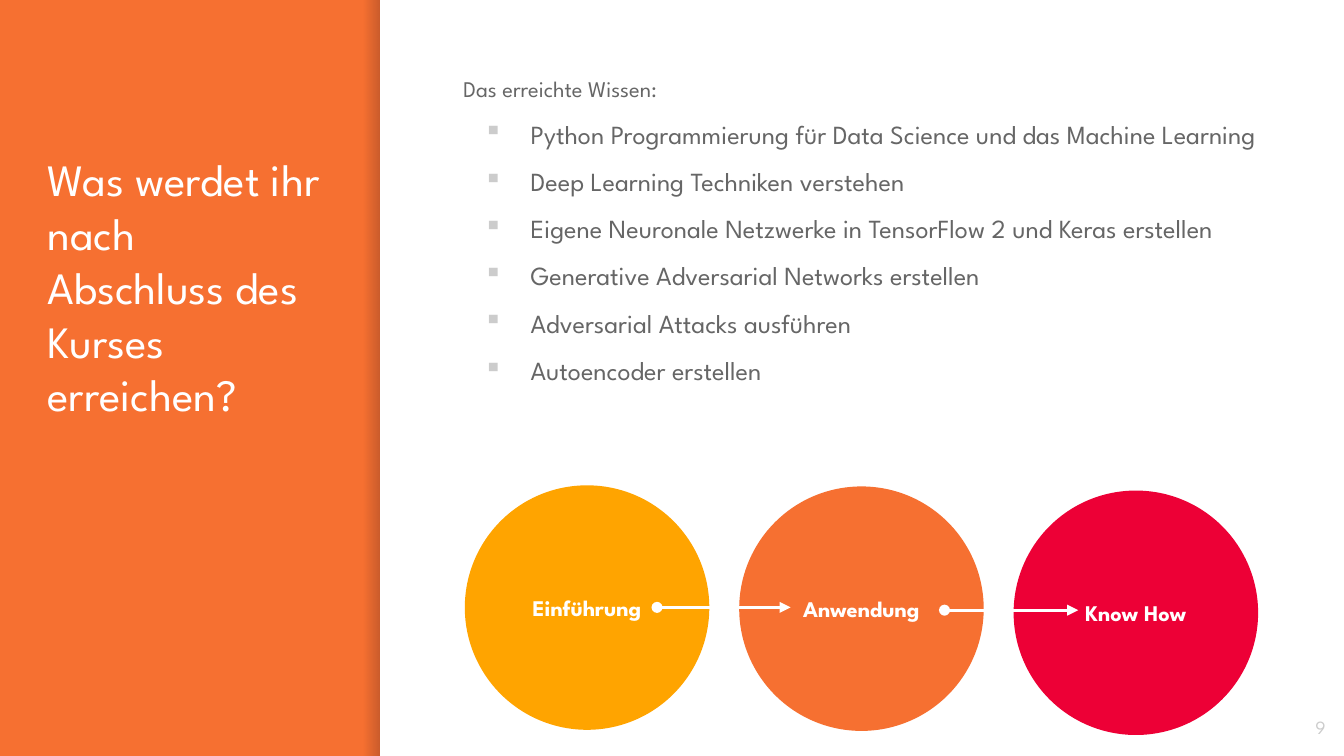
"""Build the slide on what participants achieve by the end of the course."""
from lxml import etree
from pptx import Presentation
from pptx.dml.color import RGBColor
from pptx.enum.shapes import MSO_CONNECTOR, MSO_SHAPE
from pptx.enum.text import MSO_ANCHOR, PP_ALIGN
from pptx.oxml.ns import qn
from pptx.util import Pt

RECTANGLE, OVAL = MSO_SHAPE.RECTANGLE, MSO_SHAPE.OVAL
STRAIGHT = MSO_CONNECTOR.STRAIGHT
TOP, MIDDLE = MSO_ANCHOR.TOP, MSO_ANCHOR.MIDDLE
LEFT, CENTER, RIGHT = PP_ALIGN.LEFT, PP_ALIGN.CENTER, PP_ALIGN.RIGHT

TITLE = "Was werdet ihr nach Abschluss des Kurses erreichen?"
INTRO = "Das erreichte Wissen:"
SKILLS = [
    "Python Programmierung für Data Science und das Machine Learning",
    "Deep Learning Techniken verstehen",
    "Eigene Neuronale Netzwerke in TensorFlow 2 und Keras erstellen",
    "Generative Adversarial Networks erstellen",
    "Adversarial Attacks ausführen",
    "Autoencoder erstellen",
]
PAGE_NUMBER = "9"
STAGES = [("Einführung", "yellow", 260), ("Anwendung", "orange", 260.6), ("Know How", "red", 262.8)]
ARROWS = [(352, 325.4), (506, 326.9)]

THEME = {
    "font": "League Spartan",
    "colors": {
        "orange": "F67031", "yellow": "FFA400", "red": "ED0036", "white": "FFFFFF",
        "text": "666666", "muted": "CCCCCC", "shadow": "000014",
    },
    "sizes": {"title": 24, "skill": 14, "label": 12, "page": 10},
}
SLIDE_WIDTH, SLIDE_HEIGHT = 720, 405
PANEL_LEFT, SHADOW_WIDTH = 203.7, 9
CIRCLE_LEFT, CIRCLE_SIZE, CIRCLE_STEP = 249, 131, 147
ARROW_LENGTH, ARROW_WIDTH = 71.6, 1.5
INSET, TITLE_INSET = 7.2, 36
BULLET_MARGIN, BULLET_HANG = 36, 25.2


def color(name):
    return RGBColor.from_string(THEME["colors"][name])


def add_element(parent, tag, **attributes):
    return etree.SubElement(parent, qn(tag), attributes)


def add_filled(slide, kind, box, fill=None):
    shape = slide.shapes.add_shape(kind, *map(Pt, box))
    shape.shadow.inherit = False
    shape.line.fill.background()
    if fill:
        shape.fill.solid()
        shape.fill.fore_color.rgb = color(fill)
    return shape


def set_frame(shape, anchor=TOP, top=INSET):
    frame = shape.text_frame
    settings = {
        "word_wrap": True, "vertical_anchor": anchor, "margin_top": Pt(top),
        "margin_left": Pt(INSET), "margin_right": Pt(INSET), "margin_bottom": Pt(INSET),
    }
    for name, value in settings.items():
        setattr(frame, name, value)
    return frame


def write(paragraph, text, size, ink, align=LEFT, bold=False):
    paragraph.alignment = align
    run = paragraph.add_run()
    run.text = text
    settings = {"name": THEME["font"], "size": Pt(THEME["sizes"][size]), "bold": bold}
    for name, value in settings.items():
        setattr(run.font, name, value)
    run.font.color.rgb = color(ink)


def add_text(slide, box, text, size, ink, align=LEFT, **frame_settings):
    frame = set_frame(slide.shapes.add_textbox(*map(Pt, box)), **frame_settings)
    write(frame.paragraphs[0], text, size, ink, align)
    return frame


def add_bullet(paragraph):
    properties = paragraph._p.get_or_add_pPr()
    properties.set("marL", str(Pt(BULLET_MARGIN)))
    properties.set("indent", str(-Pt(BULLET_HANG)))
    bullet_color = add_element(properties, "a:buClr")
    add_element(bullet_color, "a:srgbClr", val=THEME["colors"]["muted"])
    add_element(properties, "a:buChar", char="▪")


def add_panel(slide):
    shadow_box = (PANEL_LEFT - SHADOW_WIDTH, 0, SHADOW_WIDTH, SLIDE_HEIGHT)
    shadow = add_filled(slide, RECTANGLE, shadow_box)
    shadow.fill.gradient()
    shadow.fill.gradient_angle = 0
    for stop, alpha in zip(shadow.fill.gradient_stops, ("0", "20000")):
        stop.color.rgb = color("shadow")
    for tint, alpha in zip(shadow._element.spPr.iter(qn("a:srgbClr")), ("0", "20000")):
        add_element(tint, "a:alpha", val=alpha)
    panel_box = (PANEL_LEFT, 0, SLIDE_WIDTH - PANEL_LEFT, SLIDE_HEIGHT)
    add_filled(slide, RECTANGLE, panel_box, "white")


def add_skills(slide):
    frame = add_text(slide, (241.2, 31, 440.6, 217.4), INTRO, "label", "text")
    for skill in SKILLS:
        paragraph = frame.add_paragraph()
        write(paragraph, skill, "skill", "text")
    for paragraph in frame.paragraphs:
        paragraph.line_spacing = 1.15
        paragraph.space_before = Pt(6)
    for paragraph in frame.paragraphs[1:]:
        add_bullet(paragraph)


def add_stages(slide):
    for index, (label, fill, top) in enumerate(STAGES):
        left = CIRCLE_LEFT + index * CIRCLE_STEP
        circle = add_filled(slide, OVAL, (left, top, CIRCLE_SIZE, CIRCLE_SIZE), fill)
        frame = set_frame(circle, MIDDLE)
        write(frame.paragraphs[0], label, "label", "white", CENTER, True)
    for left, top in ARROWS:
        ends = map(Pt, (left, top, left + ARROW_LENGTH, top))
        arrow = slide.shapes.add_connector(STRAIGHT, *ends)
        arrow.line.width = Pt(ARROW_WIDTH)
        arrow.line.color.rgb = color("white")
        line = arrow.line._get_or_add_ln()
        add_element(line, "a:headEnd", type="oval")
        add_element(line, "a:tailEnd", type="triangle")
        add_element(arrow._element.spPr, "a:effectLst")


def main():
    presentation = Presentation()
    presentation.slide_width = Pt(SLIDE_WIDTH)
    presentation.slide_height = Pt(SLIDE_HEIGHT)
    slide = presentation.slides.add_slide(presentation.slide_layouts[6])
    slide.background.fill.solid()
    slide.background.fill.fore_color.rgb = color("orange")
    add_panel(slide)
    add_text(slide, (18.4, 45.4, 161.3, 313.2), TITLE, "title", "white", top=TITLE_INSET)
    add_skills(slide)
    add_text(slide, (674, 374, 43.2, 31), PAGE_NUMBER, "page", "muted", RIGHT, anchor=MIDDLE)
    add_stages(slide)
    presentation.save("out.pptx")


if __name__ == "__main__":
    main()
